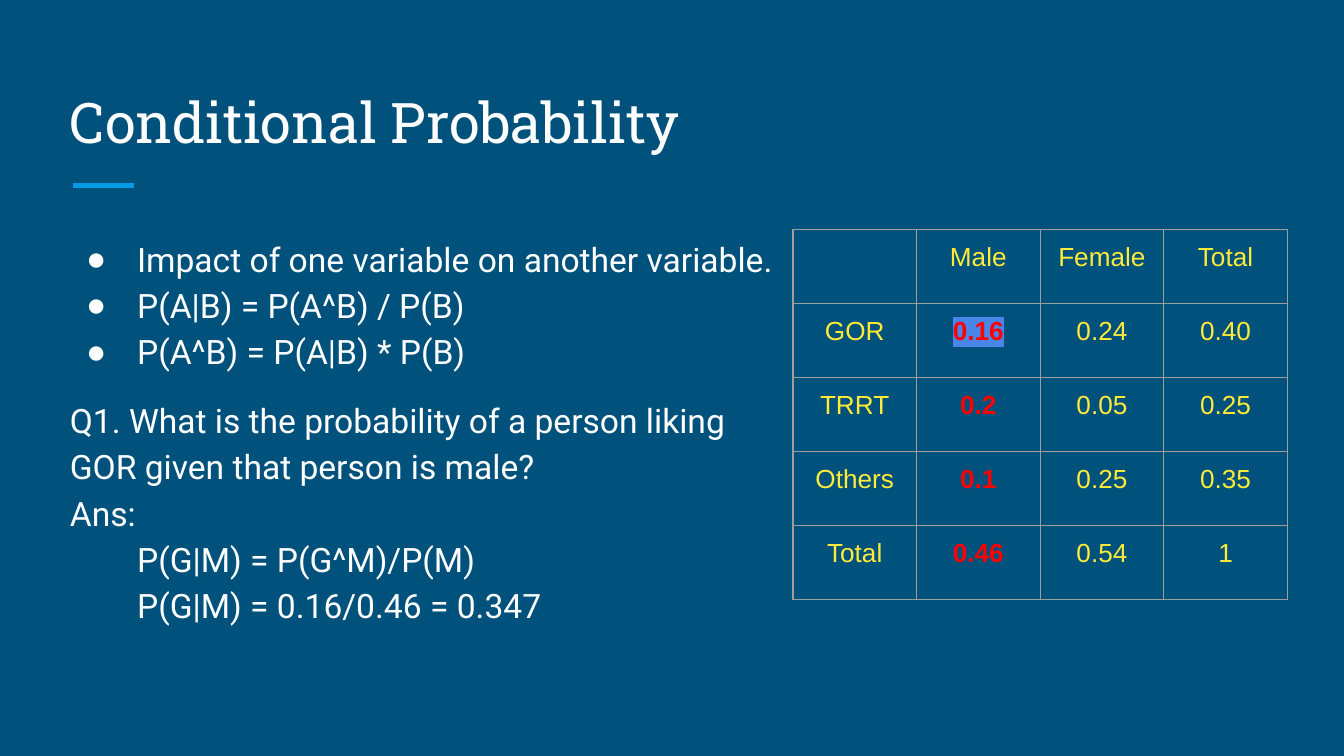
from lxml import etree
from pptx import Presentation
from pptx import util as u
from pptx.dml import color
from pptx.enum import shapes, text
from pptx.oxml import ns

HUES = {
    "back": "00517C", "text": "FFFFFF", "rule": "039BE5", "cell": "FFEB38",
    "male": "FF0000", "mark": "4A86E8", "grid": "9E9E9E",
}
LINES = [
    ("bullet", "Impact of one variable on another variable."),
    ("bullet", "P(A|B) = P(A^B) / P(B)"),
    ("bullet", "P(A^B) = P(A|B) * P(B)"),
    ("first", "Q1. What is the probability of a person liking"),
    ("plain", "GOR given that person is male?"),
    ("plain", "Ans:"),
    ("deep", "P(G|M) = P(G^M)/P(M)"),
    ("deep", "P(G|M) = 0.16/0.46 = 0.347"),
]
KINDS = {
    "bullet": (0.5, -0.38, 0),
    "first": (0, 0, 12),
    "plain": (0, 0, 0),
    "deep": (0, 0.5, 0),
}
ROWS = [
    ["", "Male", "Female", "Total"],
    ["GOR", "0.16", "0.24", "0.40"],
    ["TRRT", "0.2", "0.05", "0.25"],
    ["Others", "0.1", "0.25", "0.35"],
    ["Total", "0.46", "0.54", "1"],
]
FRAME = {
    "word_wrap": True, "auto_size": text.MSO_AUTO_SIZE.NONE,
    **{f"margin_{side}": u.Inches(0.1) for side in ("left", "right", "top", "bottom")},
}
BODY = {"size": u.Pt(18), "name": "Roboto"}
TITLE = {"size": u.Pt(30), "name": "Roboto Slab"}
CELL = {"size": u.Pt(14), "name": "Arial", "bold": False}


def rgb(key):
    return color.RGBColor.from_string(HUES[key])


def apply(item, form):
    for key, value in form.items():
        setattr(item, key, value)


def node(top, tag, **attrs):
    return etree.SubElement(top, ns.qn(tag), attrs)


def tint(top, tag, key):
    part = node(top, tag)
    node(part, "a:srgbClr", val=HUES[key])
    return part


def style(font, form, key):
    apply(font, form)
    font.color.rgb = rgb(key)


def place(shape, box, anchor):
    for key, value in zip(("left", "top", "width", "height"), box):
        setattr(shape, key, u.Inches(value))
    apply(shape.text_frame, {**FRAME, "vertical_anchor": anchor})
    return shape.text_frame


def add_title(slide):
    frame = place(slide.shapes.title, (0.42, 0.5, 9.15, 0.75), text.MSO_ANCHOR.BOTTOM)
    para = frame.paragraphs[0]
    para.alignment = text.PP_ALIGN.LEFT
    run = para.add_run()
    run.text = "Conditional Probability"
    style(run.font, TITLE, "text")


def add_line(para, kind, words):
    left, first, gap = KINDS[kind]
    apply(para, {
        "alignment": text.PP_ALIGN.LEFT, "line_spacing": 1.15,
        "space_before": u.Pt(gap), "space_after": u.Pt(0),
    })
    props = para._p.get_or_add_pPr()
    props.set("marL", str(u.Inches(left)))
    props.set("indent", str(u.Inches(first)))
    if kind == "bullet":
        tint(props, "a:buClr", "text")
        node(props, "a:buFont", typeface="Arial")
        node(props, "a:buChar", char="●")
    else:
        node(props, "a:buNone")
    run = para.add_run()
    run.text = words
    style(run.font, BODY, "text")


def add_body(slide):
    frame = place(slide.placeholders[1], (0.42, 1.63, 9.15, 3.37), text.MSO_ANCHOR.TOP)
    for i, (kind, words) in enumerate(LINES):
        para = frame.add_paragraph() if i else frame.paragraphs[0]
        add_line(para, kind, words)


def add_rule(slide):
    y = u.Inches(1.38)
    rule = slide.shapes.add_connector(
        shapes.MSO_CONNECTOR.STRAIGHT, u.Inches(0.54), y, u.Inches(1), y)
    rule.line.color.rgb = rgb("rule")
    rule.line.width = u.Pt(3)
    node(rule._element.spPr, "a:effectLst")


def add_edges(cell):
    props = cell._tc.get_or_add_tcPr()
    for i, side in enumerate("LRTB"):
        edge = node(props, f"a:ln{side}", w=str(u.Pt(0.75)))
        tint(edge, "a:solidFill", "grid")
        props.insert(i, edge)


def fill_cell(cell, words, hot, marked):
    sides = {key: value for key, value in FRAME.items() if key.startswith("margin")}
    apply(cell, {**sides, "vertical_anchor": text.MSO_ANCHOR.TOP})
    cell.fill.background()
    add_edges(cell)
    if not words:
        return
    para = cell.text_frame.paragraphs[0]
    para.alignment = text.PP_ALIGN.CENTER
    run = para.add_run()
    run.text = words
    style(run.font, {**CELL, "bold": hot}, "male" if hot else "cell")
    if marked:
        props = run._r.get_or_add_rPr()
        props.insert(1, tint(props, "a:highlight", "mark"))


def add_grid(slide):
    wide, high = 0.92, 0.55
    rows, cols = len(ROWS), len(ROWS[0])
    grid = slide.shapes.add_table(
        rows, cols, u.Inches(5.9), u.Inches(1.71),
        u.Inches(wide * cols), u.Inches(high * rows)).table
    apply(grid, {"first_row": False, "horz_banding": False})
    for r, row in enumerate(ROWS):
        for c, words in enumerate(row):
            fill_cell(grid.cell(r, c), words, c == 1 and r > 0, (r, c) == (1, 1))


def main():
    deck = Presentation()
    wide = u.Inches(10)
    apply(deck, {"slide_width": wide, "slide_height": wide * 9 // 16})
    slide = deck.slides.add_slide(deck.slide_layouts[1])
    back = slide.background.fill
    back.solid()
    back.fore_color.rgb = rgb("back")
    add_rule(slide)
    add_title(slide)
    add_body(slide)
    add_grid(slide)
    deck.save("out.pptx")


if __name__ == "__main__":
    main()
